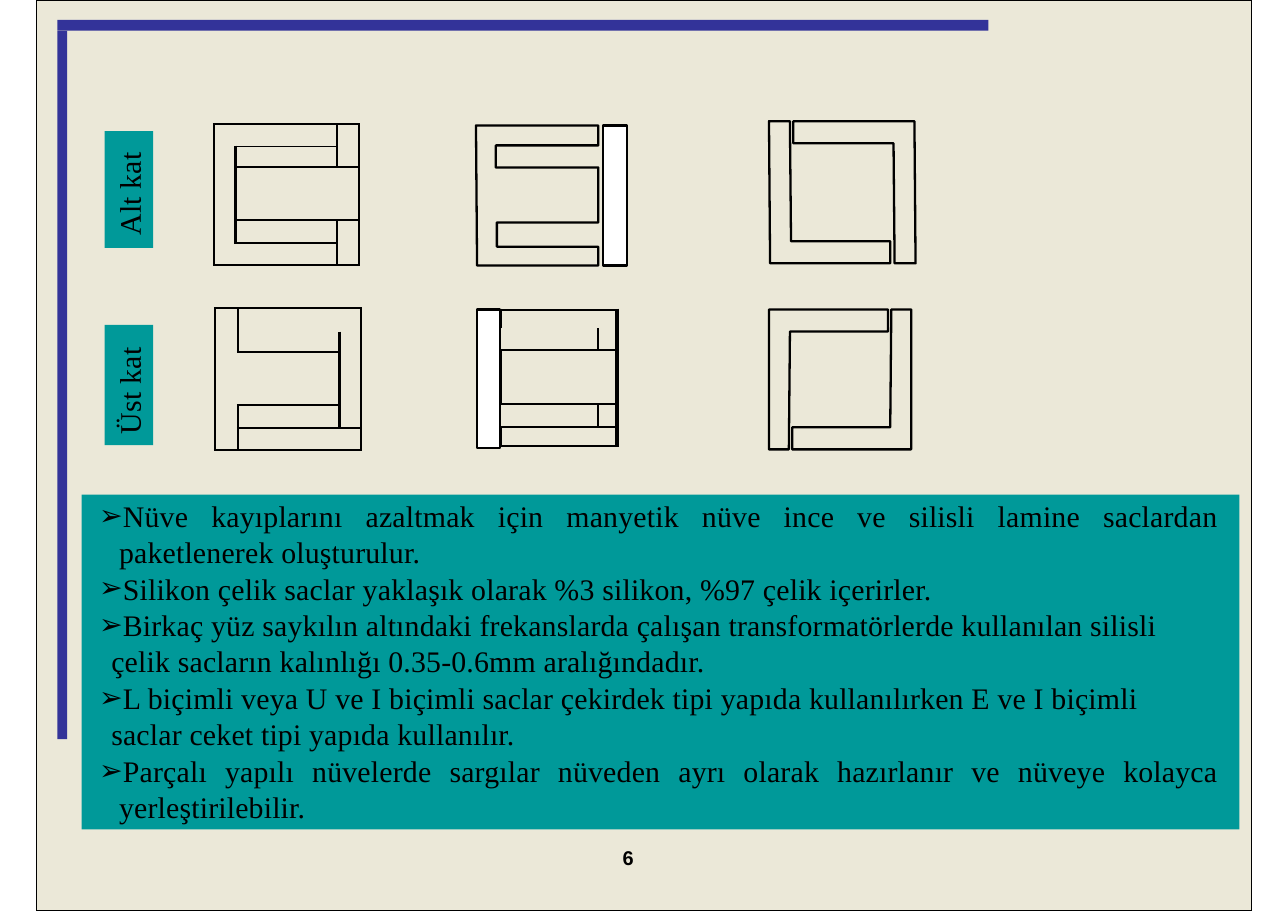
"""Builds a slide on laminated transformer core shapes."""
from lxml import etree
from pptx import Presentation
from pptx.dml.color import RGBColor
from pptx.enum.shapes import MSO_SHAPE
from pptx.enum.text import MSO_ANCHOR, MSO_AUTO_SIZE, PP_ALIGN
from pptx.oxml.ns import qn
from pptx.util import Emu, Pt

RECTANGLE = MSO_SHAPE.RECTANGLE
TOP = MSO_ANCHOR.TOP
NO_AUTOFIT = MSO_AUTO_SIZE.NONE
LEFT, JUSTIFY = PP_ALIGN.LEFT, PP_ALIGN.JUSTIFY

CREAM = RGBColor(0xEB, 0xE8, 0xD8)
NAVY = RGBColor(0x33, 0x33, 0x99)
TEAL = RGBColor(0x00, 0x99, 0x99)
WHITE = RGBColor(0xFF, 0xFF, 0xFF)
BLACK = RGBColor(0, 0, 0)

PX = 9144
SERIF, SANS = "Times New Roman", "Arial"
TEXT_SIZE = 19.5
LINE_WIDTH = 1.5
PLAIN_TABLE = "{2D5ABB26-0587-4C30-8999-92F81FD0307C}"
SIDES = {"l": "a:lnL", "r": "a:lnR", "t": "a:lnT", "b": "a:lnB"}

BULLETS = [
    ("Nüve kayıplarını azaltmak için manyetik nüve ince ve silisli lamine saclardan "
     "paketlenerek oluşturulur.", JUSTIFY, 19),
    ("Silikon çelik saclar yaklaşık olarak %3 silikon, %97 çelik içerirler.", LEFT, 12),
    ("Birkaç yüz saykılın altındaki frekanslarda çalışan transformatörlerde kullanılan silisli\v"
     "çelik sacların kalınlığı 0.35-0.6mm aralığındadır.", LEFT, 12),
    ("L biçimli veya U ve I biçimli saclar çekirdek tipi yapıda kullanılırken E ve I biçimli\v"
     "saclar ceket tipi yapıda kullanılır.", LEFT, 12),
    ("Parçalı yapılı nüvelerde sargılar nüveden ayrı olarak hazırlanır ve nüveye kolayca "
     "yerleştirilebilir.", JUSTIFY, 19),
]

LOWER_UI = [
    (0, 0, 1, 2, "ltr"), (0, 2, 2, 1, "ltr"), (1, 0, 3, 1, "lR"), (1, 1, 1, 1, "Lrtb"),
    (2, 1, 1, 2, "Lrt"), (3, 1, 1, 1, "Lrb"), (3, 2, 2, 1, "lrb"), (4, 0, 1, 2, "lrb"),
]
UPPER_UI = [
    (0, 0, 2, 1, "ltr"), (0, 1, 1, 2, "ltr"), (1, 1, 1, 1, "lRb"), (1, 2, 3, 1, "Lr"),
    (2, 0, 1, 2, "lR"), (3, 0, 2, 1, "lrb"), (3, 1, 1, 1, "lRtb"), (4, 1, 1, 2, "lrtb"),
]
UPPER_E = [
    (0, 0, 1, 2, "ltR"), (1, 0, 1, 1, "rb"), (1, 1, 1, 1, "lR"), (2, 0, 1, 2, "ltR"),
    (3, 0, 1, 1, "rb"), (3, 1, 1, 1, "lR"), (4, 0, 1, 2, "ltRb"),
]

LOWER_E = [(432, 114), (543, 114), (543, 132), (450, 132), (450, 152), (543, 152),
           (543, 202), (451, 202), (451, 224), (543, 224), (543, 241), (433, 241)]
L_PIECES = [
    [(698, 110), (717, 110), (718, 219), (808, 219), (808, 239), (699, 239)],
    [(720, 110), (830, 110), (831, 239), (812, 239), (811, 130), (720, 130)],
    [(698, 281), (806, 281), (806, 301), (717, 301), (716, 408), (698, 408)],
    [(809, 281), (827, 281), (827, 408), (719, 408), (719, 388), (808, 388)],
]


def write(para, text, size=TEXT_SIZE, font=SERIF, bold=False, align=LEFT, leading=22.6):
    para.text = text
    para.alignment = align
    para.line_spacing = Pt(leading)
    para.space_before = Pt(0)
    for span in para.runs:
        span.font.size = Pt(size)
        span.font.name = font
        span.font.bold = bold
        span.font.color.rgb = BLACK
        span.font._element.set("spc", "10")


class CoreSlide:
    def __init__(self, deck):
        self.page = deck.slides.add_slide(deck.slide_layouts[1])
        self.shapes = self.page.shapes
        title = self.shapes.title._element
        title.getparent().remove(title)

    def paint(self, shape, fill=None, line=None, width=LINE_WIDTH):
        shape.shadow.inherit = False
        if fill is None:
            shape.fill.background()
        else:
            shape.fill.solid()
            shape.fill.fore_color.rgb = fill
        if line is None:
            shape.line.fill.background()
        else:
            shape.line.color.rgb = line
            shape.line.width = Pt(width)

    def block(self, *place, **style):
        shape = self.shapes.add_shape(RECTANGLE, *[Emu(n * PX) for n in place])
        self.paint(shape, **style)

    def outline(self, points):
        builder = self.shapes.build_freeform(*points[0], scale=PX)
        builder.add_line_segments(points[1:], close=True)
        self.paint(builder.convert_to_shape(), line=BLACK)

    def frame(self, box):
        frame = box.text_frame
        frame.margin_left = frame.margin_top = frame.margin_right = frame.margin_bottom = 0
        frame.word_wrap = True
        frame.auto_size = NO_AUTOFIT
        frame.vertical_anchor = TOP
        return frame

    def text(self, text, *place, upright=True, **style):
        frame = self.frame(self.shapes.add_textbox(*[Emu(n * PX) for n in place]))
        if not upright:
            frame._txBody.bodyPr.set("vert", "vert270")
        write(frame.paragraphs[0], text, **style)

    def bullets(self, items, left, top, width, height):
        body = self.page.placeholders[1]
        body.left, body.top = Emu(left * PX), Emu(top * PX)
        body.width, body.height = Emu(width * PX), Emu(height * PX)
        self.shapes._spTree.append(body._element)
        frame = self.frame(body)
        frame.margin_top = Emu(PX)
        for index, (text, align, margin) in enumerate(items):
            para = frame.add_paragraph() if index else frame.paragraphs[0]
            props = para._p.get_or_add_pPr()
            props.set("marL", str(margin * PX))
            props.set("indent", str((1 - margin) * PX))
            etree.SubElement(props, qn("a:buSzPct"), val="95000")
            etree.SubElement(props, qn("a:buChar"), char="➢")
            write(para, text, align=align, leading=23.8)

    def border(self, cell, side, width):
        props = cell._tc.get_or_add_tcPr()
        line = etree.SubElement(props, qn(SIDES[side]), w=str(Pt(width)))
        fill = etree.SubElement(line, qn("a:solidFill"))
        etree.SubElement(fill, qn("a:srgbClr"), val=str(BLACK))

    def laminations(self, left, top, columns, rows, cells, heavy):
        place = (left, top, sum(columns), sum(rows))
        table = self.shapes.add_table(len(rows), len(columns), *[Emu(n * PX) for n in place]).table
        table.first_row = table.horz_banding = False
        table._tbl.tblPr.find(qn("a:tableStyleId")).text = PLAIN_TABLE
        for column, width in zip(table.columns, columns):
            column.width = Emu(width * PX)
        for row, height in zip(table.rows, rows):
            row.height = Emu(height * PX)
        for cell in table.iter_cells():
            cell.margin_left = cell.margin_top = cell.margin_right = cell.margin_bottom = 0
            etree.SubElement(cell.text_frame.paragraphs[0]._p, qn("a:endParaRPr"), sz="600")
        for row, column, height, width, sides in cells:
            cell = table.cell(row, column)
            if height * width > 1:
                cell.merge(table.cell(row + height - 1, column + width - 1))
            widths = {side.lower(): heavy if side.isupper() else LINE_WIDTH for side in sides}
            for side in SIDES:
                if side in widths:
                    self.border(cell, side, widths[side])
            cell.fill.solid()
            cell.fill.fore_color.rgb = CREAM


def main():
    deck = Presentation()
    deck.slide_width, deck.slide_height = Emu(1169 * PX), Emu(827 * PX)
    slide = CoreSlide(deck)
    slide.block(33, 0, 1103, 827, fill=CREAM, line=BLACK, width=0.96)
    slide.block(52, 18, 845, 10, fill=NAVY)
    slide.block(52, 28, 9, 643, fill=NAVY)
    slide.block(74, 449, 1051, 304, fill=TEAL)

    slide.laminations(194, 113, [20, 92, 20], [20, 19, 48, 21, 20], LOWER_UI, 2.25)
    slide.laminations(195, 280, [21, 92, 20], [21, 19, 48, 21, 20], UPPER_UI, 2.25)
    slide.block(547, 114, 22, 127, fill=WHITE, line=BLACK)
    slide.outline(LOWER_E)
    slide.block(433, 281, 21, 126, fill=WHITE, line=BLACK)
    slide.laminations(455, 281, [88, 17], [17, 20, 49, 21, 17], UPPER_E, 3)
    for piece in L_PIECES:
        slide.outline(piece)

    for label, top, height, text_top, length in [("Üst kat", 295, 109, 312, 82),
                                                 ("Alt kat", 119, 106, 136, 78)]:
        slide.block(95, top, 44, height, fill=TEAL)
        slide.text(label, 102, text_top, 33, length, upright=False)
    slide.bullets(BULLETS, 89, 450, 1018, 301)
    slide.text("6", 565, 768, 25, 23, size=13, font=SANS, bold=True, leading=15.6)
    deck.save("out.pptx")


if __name__ == "__main__":
    main()
